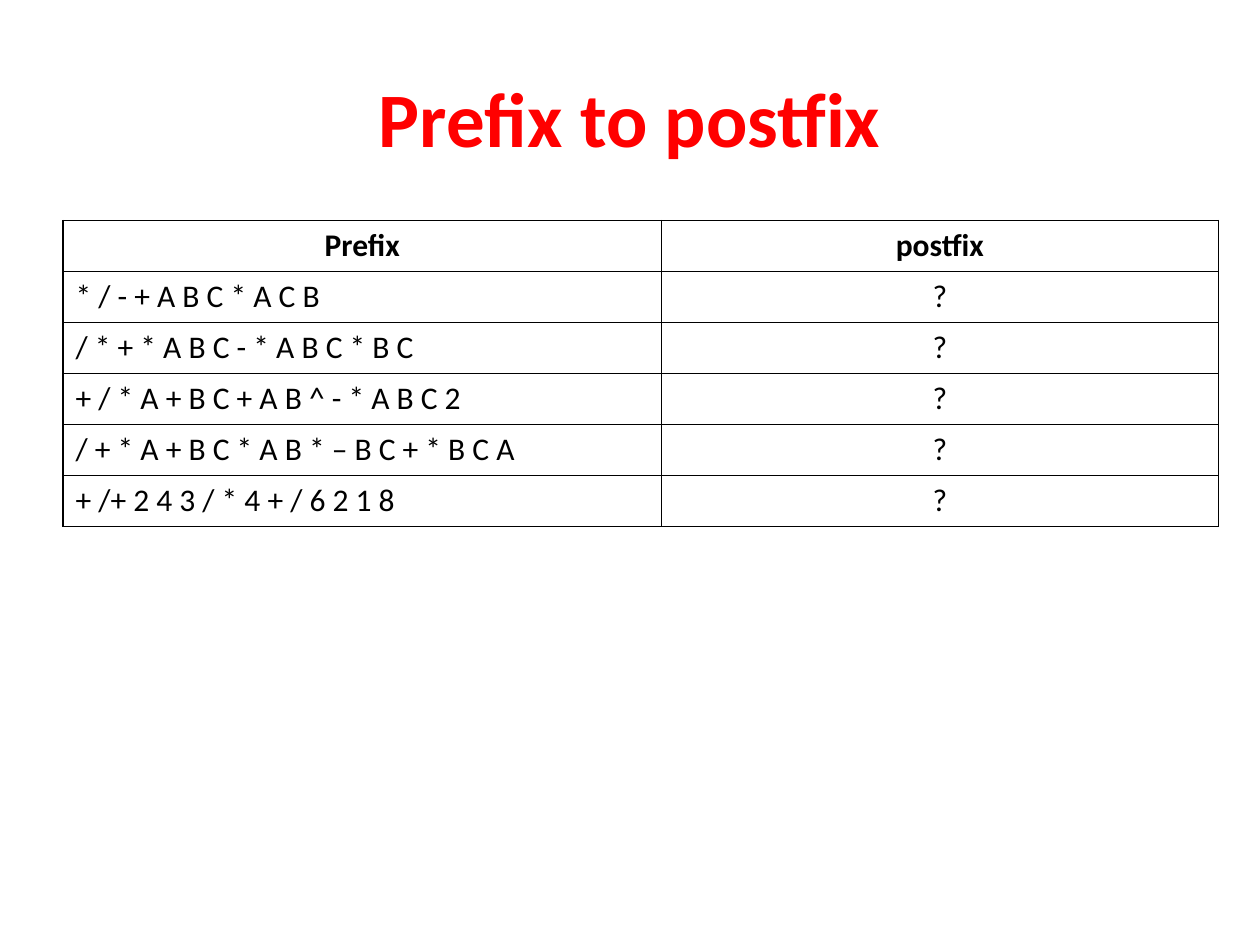
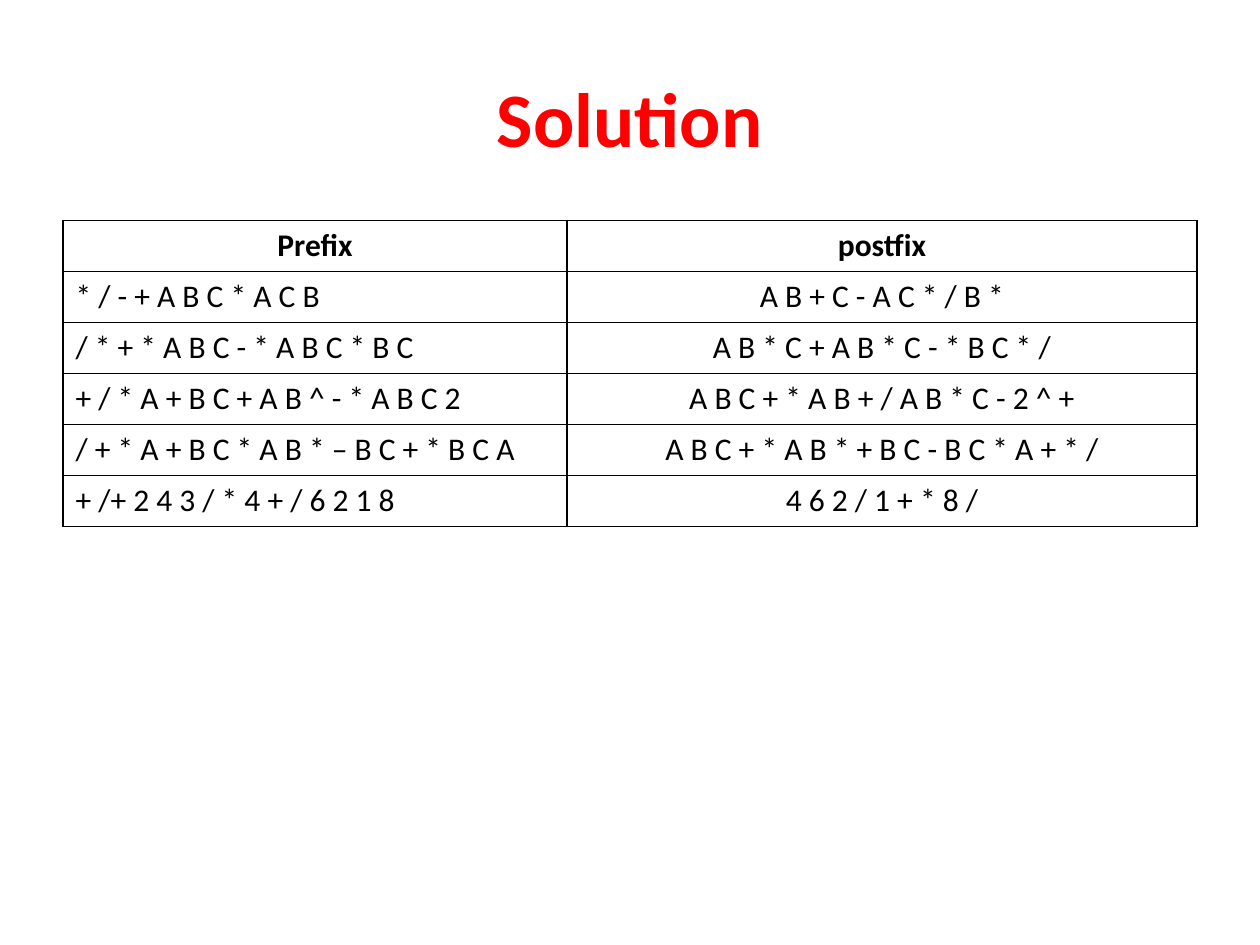
from dataclasses import dataclass

from lxml import etree
from pptx import Presentation
from pptx.dml.color import RGBColor
from pptx.enum.text import MSO_ANCHOR, PP_ALIGN
from pptx.oxml.ns import qn
from pptx.util import Inches, Pt

LEFT, CENTER = PP_ALIGN.LEFT, PP_ALIGN.CENTER
MIDDLE = MSO_ANCHOR.MIDDLE


@dataclass(frozen=True)
class Theme:
    font: str = "Calibri"
    title: str = "FF0000"
    ink: str = "000000"
    title_size: int = 44
    cell_size: int = 18
    border: int = 1


theme = Theme()

PREFIX = [
    "* / - + A B C * A C B",
    "/ * + * A B C - * A B C * B C",
    "+ / * A + B C + A B ^ - * A B C 2",
    "/ + * A + B C * A B * – B C + * B C A",
    "+ /+ 2 4 3 / * 4 + / 6 2 1 8",
]
POSTFIX = [
    "A B + C - A C * / B *",
    "A B * C + A B * C - * B C * /",
    "A B C + * A B + / A B * C - 2 ^ +",
    "A B C + * A B * + B C - B C * A + * /",
    "4 6 2 / 1 + * 8 /",
]
# Title, postfix column, column widths in inches
SLIDES = [
    ("Prefix to postfix", ["?"] * len(PREFIX), (4.75, 4.42)),
    ("Solution", POSTFIX, (4, 5)),
]


def write(tf, text, size=theme.cell_size, color=theme.ink, bold=False, align=LEFT):
    p = tf.paragraphs[0]
    p.alignment = align
    r = p.add_run()
    r.text = text
    r.font.name = theme.font
    r.font.size = Pt(size)
    r.font.bold = bold
    r.font.color.rgb = RGBColor.from_string(color)


def outline(cell):
    """Draw all four borders; they must precede the cell's fill."""
    tcPr = cell._tc.get_or_add_tcPr()
    for side in ("a:lnL", "a:lnR", "a:lnT", "a:lnB"):
        ln = etree.SubElement(tcPr, qn(side), w=str(Pt(theme.border)))
        fill = etree.SubElement(ln, qn("a:solidFill"))
        etree.SubElement(fill, qn("a:srgbClr"), val=theme.ink)


prs = Presentation()
prs.slide_width, prs.slide_height = Inches(10), Inches(7.5)
W, H = prs.slide_width, prs.slide_height
margin = int(W * 0.05)
title_top, title_height = int(H * 0.04), Inches(1.25)
table_top, row_height = Inches(1.75), Inches(2.43 / 6)

for title, answers, widths in SLIDES:
    s = prs.slides.add_slide(prs.slide_layouts[6])

    tf = s.shapes.add_textbox(margin, title_top, W - 2 * margin, title_height).text_frame
    tf.word_wrap = True
    tf.vertical_anchor = MIDDLE
    write(tf, title, size=theme.title_size, color=theme.title, bold=True, align=CENTER)

    rows = [("Prefix", "postfix"), *zip(PREFIX, answers)]
    table = s.shapes.add_table(len(rows), len(widths), margin, table_top,
                               Inches(sum(widths)), row_height * len(rows)).table
    for col, width in zip(table.columns, widths):
        col.width = Inches(width)
    for i, row in enumerate(rows):
        table.rows[i].height = row_height
        for j, text in enumerate(row):
            cell = table.cell(i, j)
            outline(cell)
            cell.fill.background()
            header = i == 0
            write(cell.text_frame, text, bold=header,
                  align=CENTER if header or j == 1 else LEFT)

prs.save("out.pptx")
